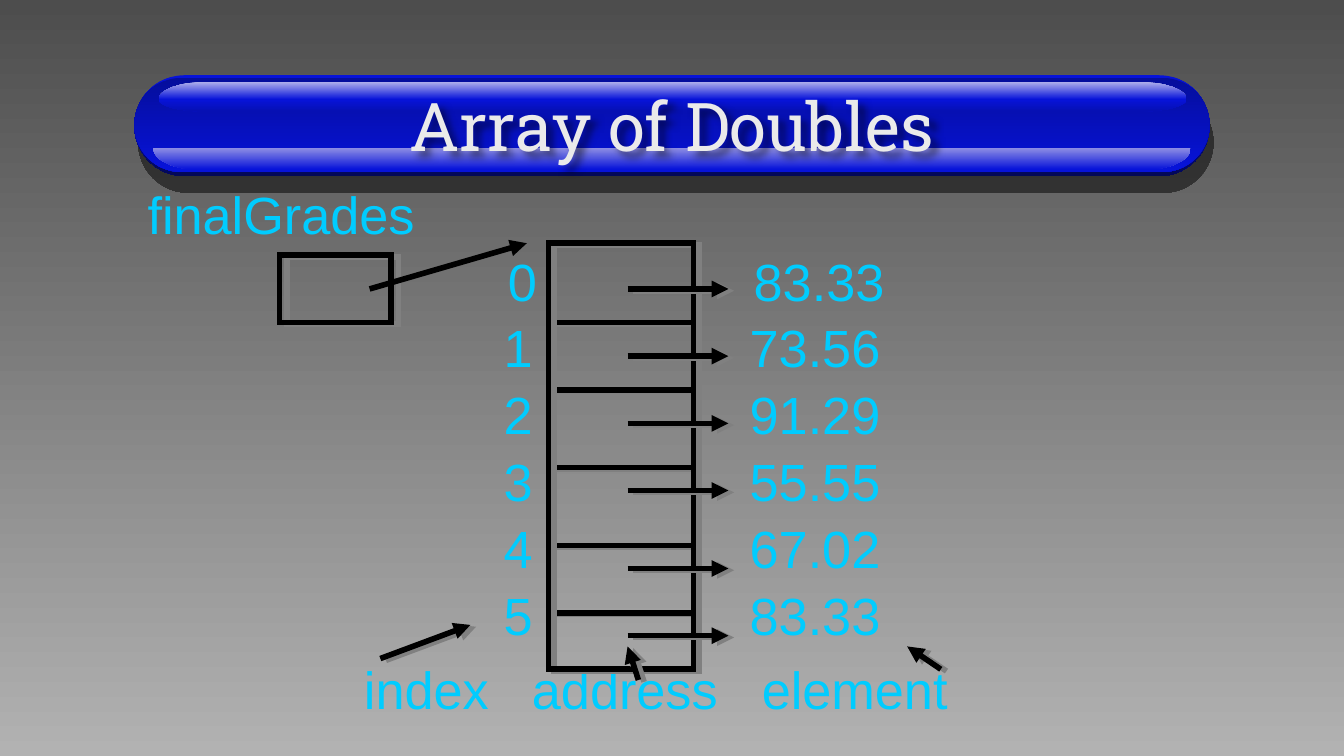
from math import cos, pi, sin
from typing import NamedTuple

from lxml.etree import SubElement as Sub
from pptx import Presentation
from pptx.dml.color import RGBColor as RGB
from pptx.enum.shapes import MSO_CONNECTOR as Link, MSO_SHAPE as Form
from pptx.enum.text import MSO_ANCHOR as Anchor, PP_ALIGN as Align
from pptx.oxml.ns import qn
from pptx.util import Inches, Pt

BLACK, CYAN = "000000", "00CCFF"
UNIT = 1000  # freeform points per inch


class Shade(NamedTuple):
    color: str
    alpha: int
    blur: float
    dist: float
    angle: int


GRAY = Shade("808080", 100, 0, 3.2, 18)


class Gloss(NamedTuple):
    left: float
    right: float
    flat: float
    far: float
    inset: float
    top: str
    base: str


class Stroke(NamedTuple):
    x1: float
    y1: float
    x2: float
    y2: float
    head: bool = True
    shade: Shade | None = GRAY


prs = Presentation()
prs.slide_width = Inches(10)
prs.slide_height = prs.slide_width * 9 // 16
slide = prs.slides.add_slide(prs.slide_layouts[5])
shapes = slide.shapes


def paint(target, color: str) -> None:
    target.rgb = RGB.from_string(color)


def fade(fill, *colors: str) -> None:
    fill.gradient()
    fill.gradient_angle = 270
    for stop, color in zip(fill.gradient_stops, colors):
        paint(stop.color, color)


def cast(shape, shade: Shade | None) -> None:
    props = shape._element.spPr
    for old in props.findall(qn("a:effectLst")):
        props.remove(old)
    effects = Sub(props, qn("a:effectLst"))
    if shade:
        outer = Sub(effects, qn("a:outerShdw"), blurRad=str(Pt(shade.blur)),
                    dist=str(Pt(shade.dist)), dir=str(shade.angle * 60000),
                    algn="ctr", rotWithShape="0")
        tint = Sub(outer, qn("a:srgbClr"), val=shade.color)
        Sub(tint, qn("a:alpha"), val=str(shade.alpha * 1000))


def style(font, color: str, **values) -> None:
    for name, value in values.items():
        setattr(font, name, value)
    paint(font.color, color)


def pill(top: float, high: float, *colors: str, shade: Shade | None = None) -> None:
    bar = shapes.add_shape(Form.ROUNDED_RECTANGLE, Inches(1), Inches(top),
                           Inches(8), Inches(high))
    bar.adjustments[0] = 0.5
    fade(bar.fill, *colors)
    bar.line.fill.background()
    cast(bar, shade)


def shine(gloss: Gloss, steps: int = 16) -> None:
    turns = [n * pi / 2 / steps for n in range(steps + 1)]
    arc = [(gloss.inset * (1 - cos(turn)),
            gloss.flat + (gloss.far - gloss.flat) * sin(turn)) for turn in turns]
    points = [(gloss.left + x, y) for x, y in arc]
    points += [(gloss.right - x, y) for x, y in reversed(arc)]
    points = [(x * UNIT, y * UNIT) for x, y in points]
    pen = shapes.build_freeform(*points[0], scale=Inches(1) / UNIT)
    pen.add_line_segments(points[1:], close=True)
    shape = pen.convert_to_shape()
    fade(shape.fill, gloss.top, gloss.base)
    shape.line.fill.background()
    cast(shape, None)


def ink(shape):
    paint(shape.line.color, BLACK)
    shape.line.width = Pt(3)
    return shape._element.spPr.find(qn("a:ln"))


def frame(left: float, top: float, wide: float, high: float, shade: Shade) -> None:
    box = shapes.add_shape(Form.RECTANGLE, *map(Inches, (left, top, wide, high)))
    box.fill.background()
    Sub(ink(box), qn("a:miter"), lim="800000")
    cast(box, shade)


def draw(stroke: Stroke) -> None:
    line = shapes.add_connector(Link.STRAIGHT, *map(Inches, stroke[:4]))
    edge = ink(line)
    if stroke.head:
        Sub(edge, qn("a:tailEnd"), type="triangle")
    cast(line, stroke.shade)


def write(para, text: str, tabs: tuple, space: float, lead: float) -> None:
    para.line_spacing, para.space_before = lead, Pt(space)
    if tabs:
        stops = Sub(para._p.get_or_add_pPr(), qn("a:tabLst"))
        for tab in tabs:
            Sub(stops, qn("a:tab"), pos=str(Inches(tab)), algn="l")
    run = para.add_run()
    run.text = text
    style(run.font, CYAN, name="Arial", size=Pt(28))


# Background and title bar
fade(slide.background.fill, "4D4D4D", "B2B2B2")
pill(0.56, 0.75, "0713DA", "030857", shade=Shade(BLACK, 50, 0, 9.2, 77))
pill(0.58, 0.7, "050E9C", "0713DA")
for gloss in (Gloss(1.14, 8.86, 1.1, 1.26, 0.32, "8F8FE4", "0713DA"),
              Gloss(1.18, 8.83, 0.74, 0.61, 0.36, "B0B0EB", "0713DA"),
              Gloss(1.18, 8.83, 0.74, 0.83, 0.36, "0713DA", "0610B2")):
    shine(gloss)

# Title
title = shapes.title
title.left, title.top, title.width, title.height = map(Inches, (1, 0.56, 8, 0.73))
title.text_frame.text = "Array of Doubles"
title.text_frame.vertical_anchor = Anchor.MIDDLE
head = title.text_frame.paragraphs[0]
head.alignment = Align.CENTER
style(head.runs[0].font, "EAEAEA", name="Roboto Slab", size=Pt(36))
cast(title, Shade(BLACK, 50, 4, 4, 45))
shapes._spTree.append(title._element)

# Name, indexed values and captions
body = shapes.add_textbox(*map(Inches, (1, 1.31, 8, 4.2))).text_frame
body.word_wrap = True
write(body.paragraphs[0], "finalGrades", (), 0, 1)
grades = ("83.33", "73.56", "91.29", "55.55", "67.02", "83.33")
for index, grade in enumerate(grades):
    tabs = (2.65, 4.48) if index else (2.68, 4.51)
    write(body.add_paragraph(), f"\t{index}\t{grade}", tabs, 5.6, 0.9)
write(body.add_paragraph(), "\tindex\taddress\telement", (1.61, 2.86, 4.57), 5.6, 1)

# Variable and its reference
frame(2.08, 1.9, 0.83, 0.5, Shade("808080", 100, 0, 4.1, 14))
draw(Stroke(2.75, 2.15, 3.92, 1.81, shade=None))

# Array cells
for y in (2.4, 2.9, 3.48, 4.06, 4.56):
    draw(Stroke(4.08, y, 5.17, y, head=False))
frame(4.08, 1.81, 1.08, 3.17, GRAY)
for y in (2.15, 2.65, 3.15, 3.65, 4.23, 4.73):
    draw(Stroke(4.67, y, 5.42, y))

# Caption arrows
for ends in ((2.83, 4.9, 3.5, 4.65), (4.75, 5.06, 4.67, 4.81), (7, 4.98, 6.75, 4.81)):
    draw(Stroke(*ends))

prs.save("out.pptx")
